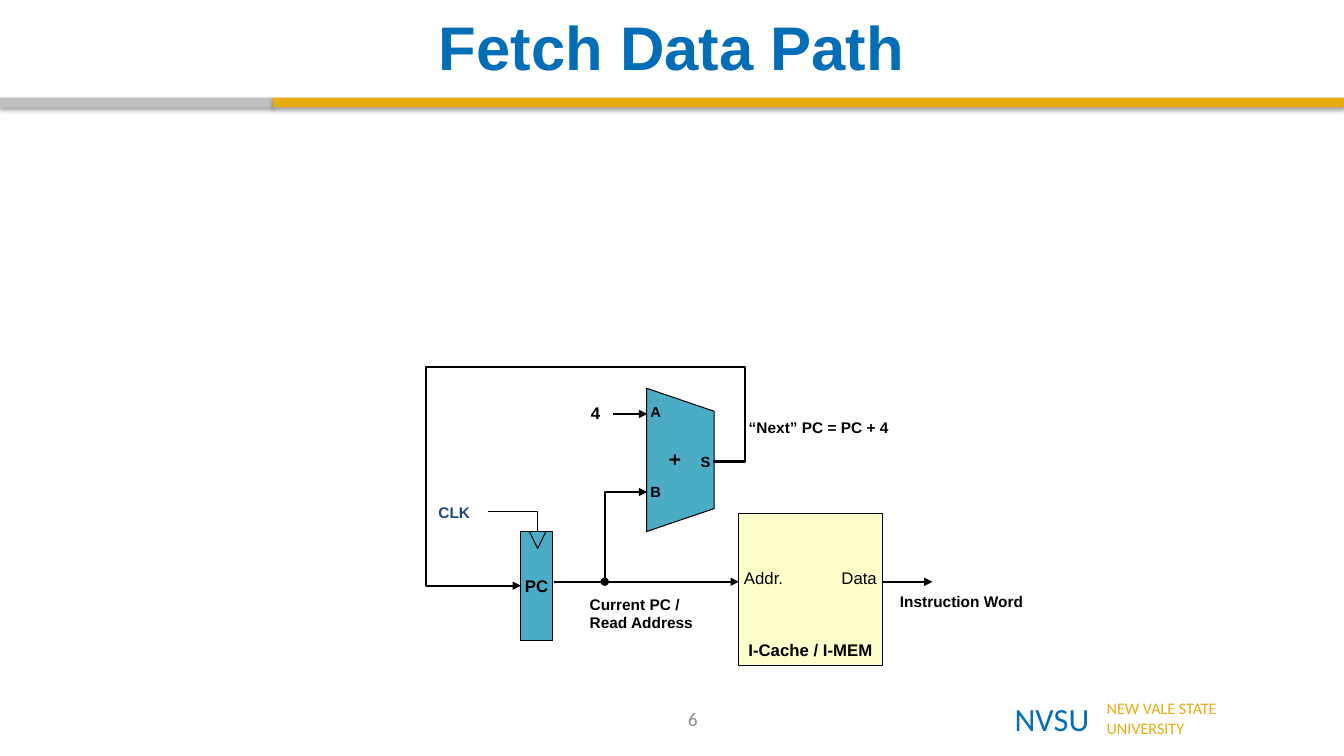
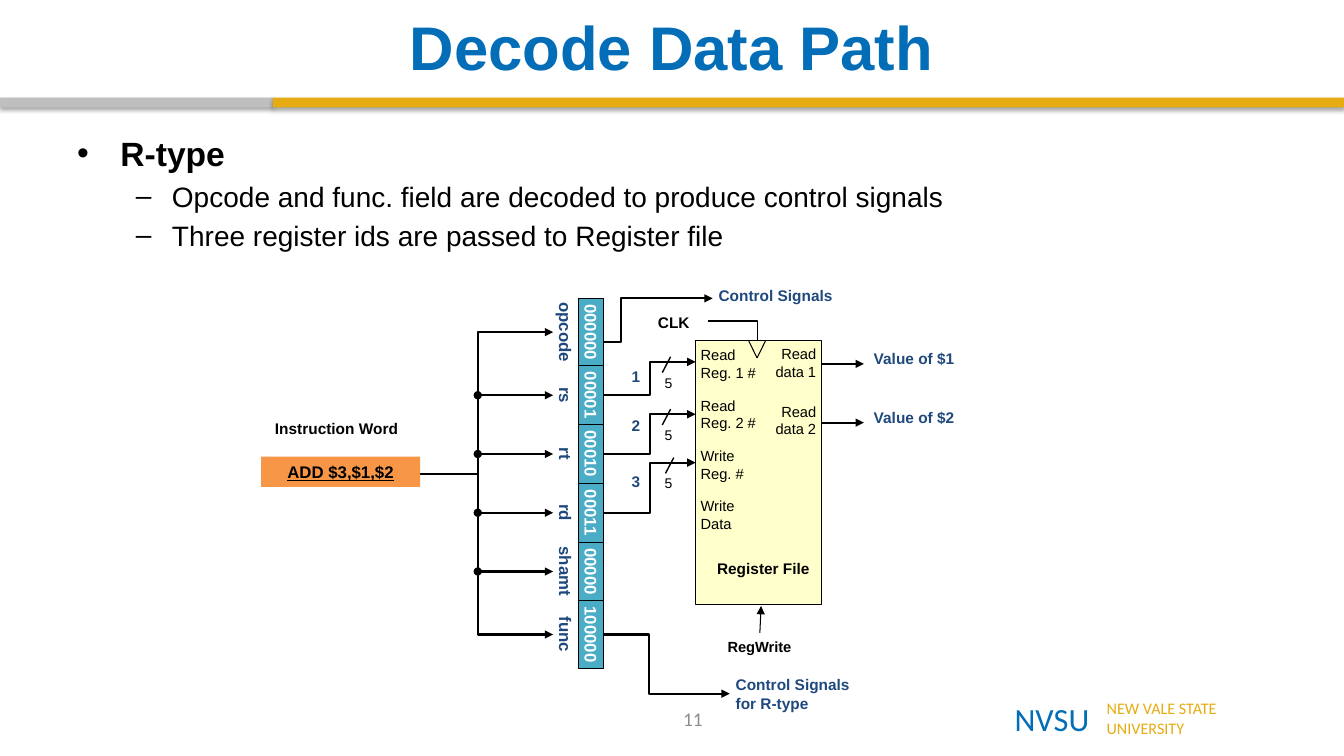
"""Build two slides on the fetch and decode data paths of a processor."""
from lxml import etree
from pptx import Presentation
from pptx.dml.color import RGBColor
from pptx.enum.shapes import MSO_CONNECTOR, MSO_SHAPE
from pptx.enum.text import MSO_ANCHOR, MSO_AUTO_SIZE, PP_ALIGN
from pptx.oxml.ns import qn
from pptx.util import Cm, Pt

LEFT, CENTER, RIGHT = PP_ALIGN.LEFT, PP_ALIGN.CENTER, PP_ALIGN.RIGHT
TOP, MIDDLE, BOTTOM = MSO_ANCHOR.TOP, MSO_ANCHOR.MIDDLE, MSO_ANCHOR.BOTTOM
STRAIGHT, ELBOW = MSO_CONNECTOR.STRAIGHT, MSO_CONNECTOR.ELBOW
RECTANGLE, TRAPEZOID = MSO_SHAPE.RECTANGLE, MSO_SHAPE.TRAPEZOID

BLUE, GOLD, SILVER, GREY = "036DB7", "E7AC11", "BFBFBF", "8C8C8C"
BLACK, WHITE, NAVY = "000000", "FFFFFF", "1F497D"
TEAL, CREAM, ORANGE = "4BACC6", "FFFFCC", "F79646"

WIDTH, HEIGHT = 33.87, 19.05
TITLE_BOX = (1.69, 0.2, 30.48, 1.93)
BODY_BOX = (1.69, 3.23, 30.48, 13.79)
NUMBER_BOX = (13.51, 17.6, 7.9, 1.02)
BANDS = [(0, 6.88, SILVER), (6.88, WIDTH - 6.88, GOLD)]
SIGNATURE = [
    ("NVSU", 25.57, 2.25, 23.1, BLUE),
    ("NEW VALE STATE\nUNIVERSITY", 27.89, 4, 11.5, GOLD),
]

BULLETS = [
    ("R-type", 0),
    ("Opcode and func. field are decoded to produce control signals", 1),
    ("Three register ids are passed to Register file", 1),
]
BULLET_STYLES = [(24, True, 1.09, -1.09), (20, False, 2.39, -0.91)]

FETCH_LABELS = [
    ("Instruction Word", 22.43, 14.78, 4.01),
    ("Current PC / Read Address", 14.61, 14.86, 3.38),
    ("“Next” PC = PC + 4", 18.62, 10.41, 4.24),
]
ADDER_LABELS = [
    ("A", 16.31, 10.01, 10.5),
    ("B", 16.31, 12.04, 10.5),
    ("S", 17.58, 11.28, 10.5),
    ("4", 14.81, 10.01, 12),
]
MEMORY_PORTS = [("Addr.", LEFT), ("Data", RIGHT)]

FIELDS = [
    ("opcode", "000000", 1.7),
    ("rs", "00001", 1.48),
    ("rt", "00010", 1.48),
    ("rd", "00011", 1.48),
    ("shamt", "00000", 1.48),
    ("func", "100000", 1.7),
]
FIELDS_TOP, FIELD_BREADTH = 7.52, 0.64
NAME_X, VALUE_X = 14.26, 14.9
BUS_X, BUS_END, FIELD_EXIT = 12.04, 13.94, 15.21
OPERANDS = [
    ("1", 9.12, 9.12, 16.69),
    ("2", 10.44, 10.36, 16.69),
    ("3", 11.66, 11.76, 16.77),
]
REGISTER_INPUTS = ["Read\nReg. 1 #", "Read\nReg. 2 #", "Write\nReg. #", "Write\nData"]
REGISTER_OUTPUTS = [
    ("Read\ndata 1", 8.56, "Value of $1", 9.17),
    ("Read\ndata 2", 10.01, "Value of $2", 10.65),
]
DECODE_LABELS = [
    ("Control Signals", 17.86, 7.09, 6.45, NAVY, LEFT),
    ("Control Signals for R-type", 18.29, 16.89, 3.9, NAVY, LEFT),
    ("Register File", 17.65, 13.97, 3.18, BLACK, CENTER),
    ("Instruction Word", 6.68, 10.44, 3.81, BLACK, LEFT),
]


def rgb(value):
    """Turn a hex string into a colour."""
    return RGBColor.from_string(value)


def style(span, size, color=BLACK, bold=False, font="Arial"):
    """Format one run."""
    span.font.size, span.font.bold, span.font.name = Pt(size), bold, font
    span.font.color.rgb = rgb(color)


def write(shape, text, size, color=BLACK, bold=False, align=LEFT, anchor=TOP,
          font="Arial", inset=(0.25, 0.13), wrap=True):
    """Put formatted text into a shape."""
    frame = shape.text_frame
    frame.text = text
    frame.word_wrap, frame.vertical_anchor = wrap, anchor
    frame.auto_size = MSO_AUTO_SIZE.NONE
    frame.margin_left = frame.margin_right = Cm(inset[0])
    frame.margin_top = frame.margin_bottom = Cm(inset[1])
    for para in frame.paragraphs:
        para.alignment = align
        for span in para.runs:
            style(span, size, color, bold, font)


def add_label(page, text, left, top, width, size=11, height=0.75, **options):
    """Add a text box."""
    box = page.shapes.add_textbox(Cm(left), Cm(top), Cm(width), Cm(height))
    write(box, text, size, **options)
    return box


def add_block(page, left, top, width, height, fill, outlined=True, kind=RECTANGLE):
    """Add a filled shape without a shadow."""
    block = page.shapes.add_shape(kind, Cm(left), Cm(top), Cm(width), Cm(height))
    block.shadow.inherit = False
    block.fill.solid()
    block.fill.fore_color.rgb = rgb(fill)
    if outlined:
        block.line.color.rgb, block.line.width = rgb(BLACK), Pt(0.75)
    else:
        block.line.fill.background()
    return block


def add_wire(page, start, end, bends=(), weight=1.5, head=None, tail="triangle"):
    """Add a connector; bends are the places of its turns, x and y in turn."""
    wire = page.shapes.add_connector(
        ELBOW if bends else STRAIGHT, *(Cm(value) for value in start + end))
    wire.line.color.rgb, wire.line.width = rgb(BLACK), Pt(weight)
    properties = wire.element.spPr
    if bends:
        geometry = properties.find(qn("a:prstGeom"))
        geometry.set("prst", f"bentConnector{len(bends) + 2}")
        guides = geometry.find(qn("a:avLst"))
        for index, bend in enumerate(bends):
            axis = index % 2
            share = (bend - start[axis]) / (end[axis] - start[axis])
            etree.SubElement(guides, qn("a:gd"), name=f"adj{index + 1}",
                             fmla=f"val {round(share * 100000)}")
    outline = properties.find(qn("a:ln"))
    for tag, kind in (("a:headEnd", head), ("a:tailEnd", tail)):
        if kind:
            etree.SubElement(outline, qn(tag), type=kind)
    etree.SubElement(properties, qn("a:effectLst"))


def add_clock(page, x, top, color):
    """Add a clock input with its notch, wire and label."""
    for side in (-0.21, 0.21):
        add_wire(page, (x + side, top), (x, top + 0.43), weight=0.75, tail=None)
    add_wire(page, (x - 1.24, top - 0.5), (x, top), (x,), weight=0.75, tail=None)
    add_label(page, "CLK", x - 2.75, top - 0.84, 1.47, color=color, bold=True)


def add_band_shadow(band):
    """Give a band its soft shadow."""
    effects = band.element.spPr.find(qn("a:effectLst"))
    shadow = etree.SubElement(effects, qn("a:outerShdw"), blurRad=str(Pt(3.1)),
                              dist=str(Pt(1.8)), dir="5400000", rotWithShape="0")
    color = etree.SubElement(shadow, qn("a:srgbClr"), val=BLACK)
    etree.SubElement(color, qn("a:alpha"), val="35000")


def place(shape, box):
    """Move and size a placeholder."""
    shape.left, shape.top, shape.width, shape.height = (Cm(value) for value in box)


def add_page(deck, layout, title, number):
    """Add a slide with its title, bands and footer."""
    page = deck.slides.add_slide(deck.slide_layouts.get_by_name(layout))
    for left, width, color in BANDS:
        add_band_shadow(add_block(page, left, 2.46, width, 0.25, color, False))
    for text, left, width, size, color in SIGNATURE:
        add_label(page, text, left, 17.48, width, size, 1.24, color=color,
                  font="Calibri", inset=(0, 0.13))
    left, top, width, height = NUMBER_BOX
    add_label(page, number, left, top, width, 13.8, height, color=GREY,
              align=CENTER, anchor=MIDDLE, font="Calibri")
    place(page.shapes.title, TITLE_BOX)
    write(page.shapes.title, title, 44, BLUE, True, CENTER, MIDDLE)
    return page


def build_fetch(deck):
    """Build the fetch slide."""
    page = add_page(deck, "Title Only", "Fetch Data Path", "6")
    memory = add_block(page, 18.62, 12.95, 3.61, 3.81, CREAM)
    write(memory, "I-Cache / I-MEM", 12, bold=True, align=CENTER, anchor=BOTTOM, wrap=False)
    for text, align in MEMORY_PORTS:
        add_label(page, text, 18.62, 14.17, 3.61, 12, align=align, inset=(0.13, 0.13))
    counter = add_block(page, 13.12, 13.39, 0.81, 2.74, TEAL)
    write(counter, "PC", 12, bold=True, align=CENTER, anchor=MIDDLE, wrap=False)
    adder = add_block(page, 15.34, 10.74, 3.61, 1.7, TEAL, kind=TRAPEZOID)
    adder.rotation, adder.adjustments[0] = 90, 0.34
    write(adder, "+", 16, bold=True, align=CENTER, anchor=MIDDLE, font="Calibri")
    for text, left, top, size in ADDER_LABELS:
        add_label(page, text, left, top, 0.6, size, bold=True, inset=(0.08, 0.13))
    for text, left, top, width in FETCH_LABELS:
        add_label(page, text, left, top, width, bold=True)
    add_clock(page, 13.55, 13.39, NAVY)
    add_wire(page, (22.23, 14.66), (23.5, 14.66))
    add_wire(page, (13.97, 14.66), (18.62, 14.66))
    add_wire(page, (15.44, 10.43), (16.31, 10.43))
    add_wire(page, (15.24, 14.66), (16.31, 12.4), (15.24,), head="oval")
    add_wire(page, (17.98, 11.63), (13.13, 14.76), (18.77, 9.25, 10.74))


def add_bullets(page):
    """Fill the body placeholder."""
    body = page.placeholders[1]
    place(body, BODY_BOX)
    body.text_frame.text = "\n".join(text for text, level in BULLETS)
    for para, (text, level) in zip(body.text_frame.paragraphs, BULLETS):
        size, bold, margin, indent = BULLET_STYLES[level]
        para.level = level
        properties = para._p.get_or_add_pPr()
        properties.set("marL", str(Cm(margin)))
        properties.set("indent", str(Cm(indent)))
        style(para.runs[0], size, bold=bold)


def add_fields(page):
    """Stack the instruction fields and return their centres."""
    centers, top = [], FIELDS_TOP
    for name, value, length in FIELDS:
        center = top + length / 2
        upper = center - FIELD_BREADTH / 2
        cell = add_block(page, VALUE_X - length / 2, upper, length, FIELD_BREADTH, TEAL)
        write(cell, value, 12, WHITE, True, CENTER, MIDDLE, wrap=False)
        label = add_label(page, name, NAME_X - length / 2, upper, length, 12, FIELD_BREADTH,
                          color=NAVY, bold=True, align=CENTER, anchor=MIDDLE, wrap=False)
        cell.rotation = label.rotation = 90
        centers.append(center)
        top += length
    return centers


def build_decode(deck):
    """Build the decode slide."""
    page = add_page(deck, "Title and Content", "Decode Data Path", "11")
    add_bullets(page)
    add_block(page, 17.53, 8.59, 3.18, 6.65, CREAM)
    for index, text in enumerate(REGISTER_INPUTS):
        add_label(page, text, 17.53, 8.59 + 1.27 * index, 2.11, 10.5, inset=(0.13, 0.13))
    for port, port_top, value, y in REGISTER_OUTPUTS:
        add_label(page, port, 19.23, port_top, 1.47, 10.5, align=RIGHT, inset=(0.13, 0.13))
        add_wire(page, (20.71, y), (21.77, y))
        add_label(page, value, 21.77, y - 0.5, 3.38, color=NAVY, bold=True)
    add_clock(page, 19.08, 8.59, BLACK)

    centers = add_fields(page)
    add_wire(page, (8.92, 11.94), (BUS_END, centers[0]), (BUS_X,))
    add_wire(page, (BUS_X, 11.84), (BUS_END, centers[-1]), (BUS_X,))
    for center in centers[1:-1]:
        add_wire(page, (BUS_X, center), (BUS_END, center), head="oval")
    for center, (digit, y, digit_top, slash_x) in zip(centers[1:], OPERANDS):
        add_wire(page, (FIELD_EXIT, center), (17.53, y), (16.38,))
        add_wire(page, (slash_x, y + 0.27), (slash_x + 0.21, y - 0.13), weight=1, tail=None)
        add_label(page, digit, 15.67, digit_top, 0.84, color=NAVY, bold=True)
        add_label(page, "5", 16.43, y + 0.18, 0.84, 10, align=CENTER, inset=(0.08, 0.13))
    add_wire(page, (FIELD_EXIT, 8.61), (17.96, 7.52), (15.65,))
    add_wire(page, (FIELD_EXIT, centers[-1]), (18.39, 17.48), (16.36,))

    for text, left, top, width, color, align in DECODE_LABELS:
        add_label(page, text, left, top, width, color=color, bold=True, align=align)
    instruction = add_block(page, 6.58, 11.51, 4.01, 0.76, ORANGE, False)
    write(instruction, "ADD $3,$1,$2", 12, bold=True, align=CENTER, anchor=MIDDLE)
    instruction.text_frame.paragraphs[0].runs[0].font.underline = True
    add_label(page, "RegWrite", 18.06, 15.95, 2.16, 10.5, bold=True, align=CENTER,
              inset=(0.13, 0.13))
    add_wire(page, (19.15, 15.95), (19.18, 15.27), weight=0.75)


def main():
    """Build and save the deck."""
    deck = Presentation()
    deck.slide_width, deck.slide_height = Cm(WIDTH), Cm(HEIGHT)
    build_fetch(deck)
    build_decode(deck)
    deck.save("out.pptx")


if __name__ == "__main__":
    main()
